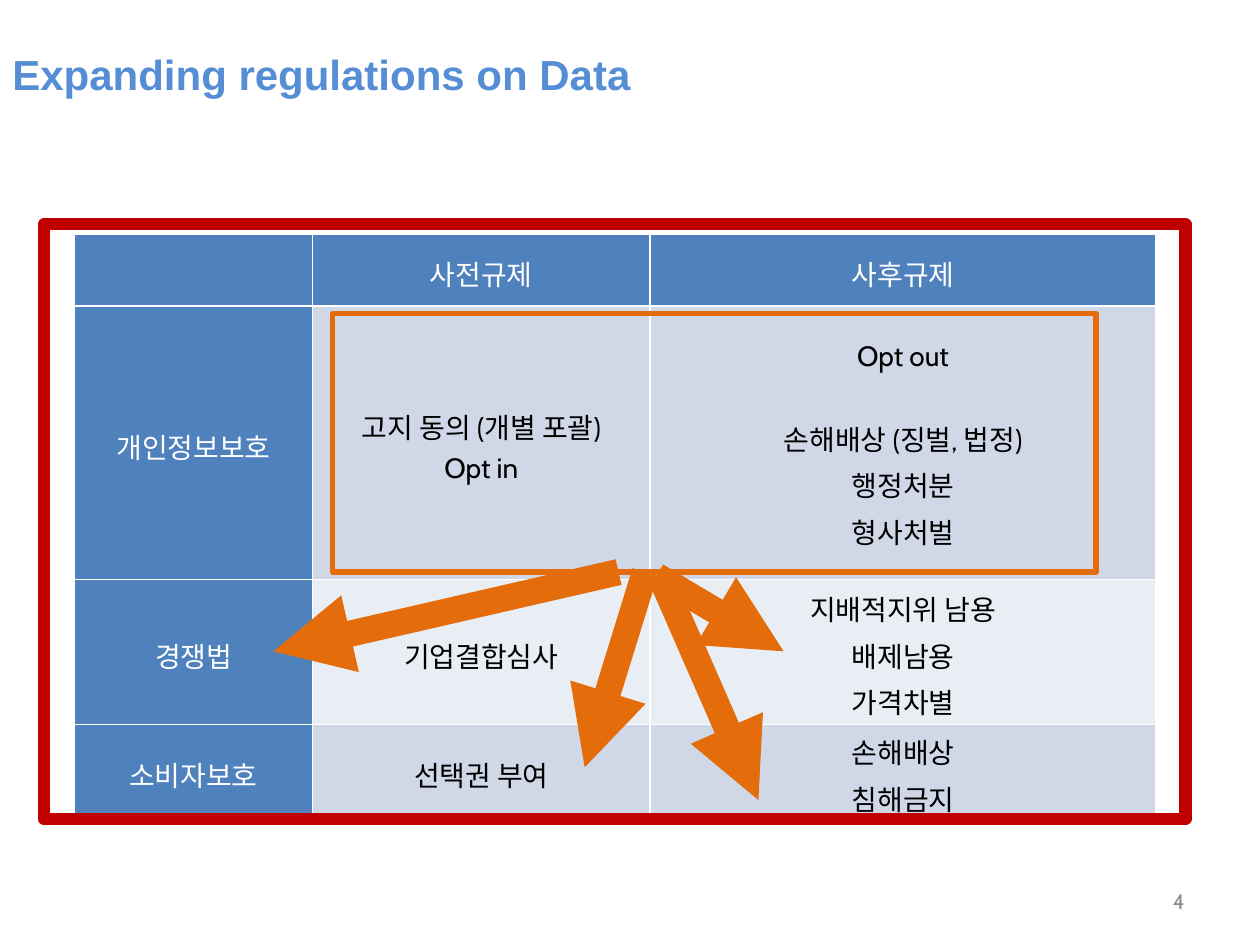
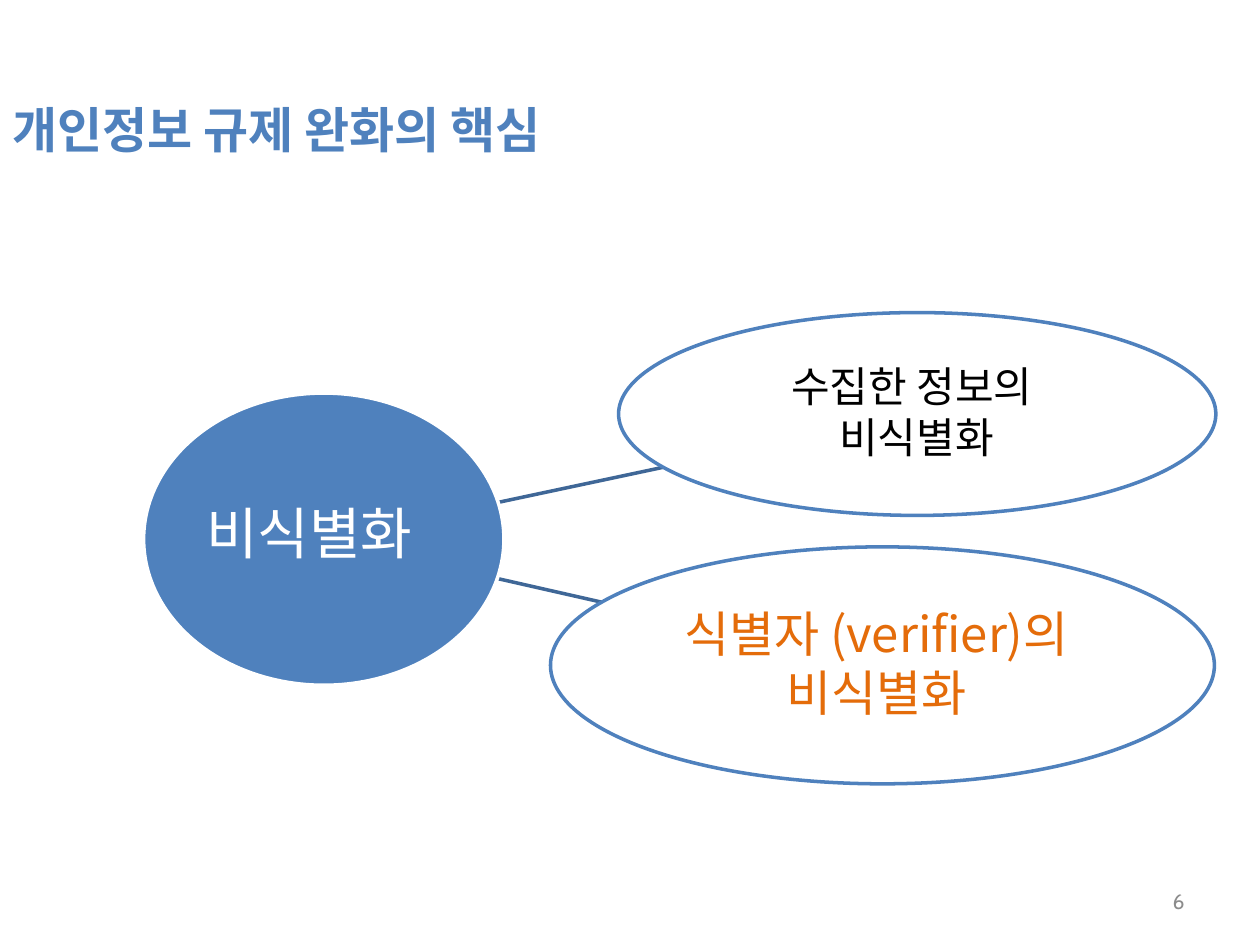
from dataclasses import dataclass
from lxml.etree import SubElement
from pptx import Presentation
from pptx.dml.color import RGBColor as Rgb
from pptx.enum.shapes import MSO_CONNECTOR as Link, MSO_SHAPE as Form
from pptx.enum.text import MSO_ANCHOR as Anchor, PP_ALIGN as Align
from pptx.oxml import parse_xml
from pptx.oxml.ns import nsdecls, qn
from pptx.util import Pt


@dataclass(frozen=True)
class Theme:
    blue: str = "4F81BD"
    sky: str = "558ED5"
    navy: str = "3F6797"
    orange: str = "E46C0A"
    red: str = "C00000"
    pale: str = "D0D8E8"
    mist: str = "E9EDF4"
    gray: str = "8C8C8C"
    black: str = "000000"
    white: str = "FFFFFF"
    latin: str = "Arial"
    body: str = "Cabin"
    hangul: str = "Noto Sans CJK KR"
    note: int = 12
    cell: int = 16
    text: int = 24
    large: int = 28
    huge: int = 32


class Deck:
    """Holds the theme and the current slide, and draws each kind of element."""

    def __init__(self, theme):
        self.theme = theme
        self.file = Presentation()
        self.file.slide_width, self.file.slide_height = Pt(720), Pt(540)

    def start(self, number):
        self.slide = self.file.slides.add_slide(self.file.slide_layouts[6])
        self.shapes = self.slide.shapes
        self.text((516, 500.4, 168, 28.8), str(number), self.theme.note, self.theme.gray,
                  self.theme.body, align=Align.RIGHT, anchor=Anchor.MIDDLE)

    def style(self, frame, words, size, color, face, align=Align.LEFT, bold=False,
              lead=1.0, after=0):
        frame.text = words
        for para in frame.paragraphs:
            para.alignment, para.line_spacing = align, lead
            para.space_after = Pt(after)
            for run in para.runs:
                font = run.font
                font.size, font.bold, font.name = Pt(size), bold, face
                font.color.rgb = Rgb.from_string(color)
                SubElement(font._element, qn("a:ea"), typeface=self.theme.hangul)

    def text(self, box, words, size, color, face, anchor=Anchor.TOP, inset=None, **look):
        frame = self.shapes.add_textbox(*map(Pt, box)).text_frame
        frame.word_wrap, frame.vertical_anchor = True, anchor
        if inset is not None:
            frame.margin_left = frame.margin_right = Pt(inset)
            frame.margin_top = frame.margin_bottom = Pt(inset)
        self.style(frame, words, size, color, face, **look)

    def title(self, box, words, size, color, face, **look):
        self.text(box, words, size, color, face, bold=True, **look)

    def shape(self, form, box, line, width, fill=None):
        shape = self.shapes.add_shape(form, *map(Pt, box))
        shape.shadow.inherit = False
        shape.line.color.rgb, shape.line.width = Rgb.from_string(line), Pt(width)
        if fill:
            shape.fill.solid()
            shape.fill.fore_color.rgb = Rgb.from_string(fill)
        else:
            shape.fill.background()

    def line(self, start, end, color, width, arrow=False):
        link = self.shapes.add_connector(Link.STRAIGHT, *map(Pt, start + end))
        link.line.color.rgb, link.line.width = Rgb.from_string(color), Pt(width)
        if arrow:
            SubElement(link.line._get_or_add_ln(), qn("a:tailEnd"), type="triangle")
        SubElement(link._element.spPr, qn("a:effectLst"))

    def bubble(self, oval, box, words, size, color):
        self.shape(Form.OVAL, oval, self.theme.blue, 2)
        self.text(box, words, size, color, self.theme.hangul, anchor=Anchor.MIDDLE,
                  inset=1.4, align=Align.CENTER, lead=0.9, after=size / 8)

    def cell(self, cell, words, fill, color):
        cell.fill.solid()
        cell.fill.fore_color.rgb = Rgb.from_string(fill)
        cell.vertical_anchor = Anchor.MIDDLE
        cell.margin_left = cell.margin_right = Pt(5)
        cell.margin_top = cell.margin_bottom = 0
        self.style(cell.text_frame, words, self.theme.cell, color, self.theme.body,
                   align=Align.CENTER, lead=1.15)
        for spot, side in enumerate("LRTB"):
            cell._tc.tcPr.insert(spot, parse_xml(
                f'<a:ln{side} {nsdecls("a")} w="{Pt(1)}"><a:solidFill>'
                f'<a:srgbClr val="{self.theme.white}"/></a:solidFill></a:ln{side}>'))

    def table(self, spot, wide, high, rows):
        size = sum(wide), sum(high)
        table = self.shapes.add_table(len(high), len(wide), *map(Pt, spot + size)).table
        table.horz_banding = False
        for col, width in zip(table.columns, wide):
            col.width = Pt(width)
        for row, height in zip(table.rows, high):
            row.height = Pt(height)
        theme = self.theme
        for y, row in enumerate(rows):
            for x, words in enumerate(row):
                head = x == 0 or y == 0
                fill = theme.blue if head else theme.pale if y % 2 else theme.mist
                self.cell(table.cell(y, x), words, fill, theme.white if head else theme.black)
        return table


RULES = [
    ("", "사전규제", "사후규제"),
    ("개인정보보호", "고지 동의 (개별 포괄)\nOpt in",
     "Opt out\n손해배상 (징벌, 법정)\n행정처분\n형사처벌"),
    ("경쟁법", "기업결합심사", "지배적지위 남용\n배제남용\n가격차별"),
    ("소비자보호", "선택권 부여", "손해배상\n침해금지"),
]
ARROWS = [
    ((368.6, 326.9), (334.1, 438.5)),
    ((353.5, 326.9), (156.2, 372.2)),
    ((377.3, 329), (433.4, 457.2)),
    ((375.1, 329), (447.8, 372.2)),
]
SPOKES = [
    ((236.2, 319.7), (344.2, 344.2)),
    ((236.2, 297.4), (378.7, 267.1)),
]


def rules(deck):
    theme = deck.theme
    deck.start(4)
    deck.title((0, 17.3, 648, 49.7), "Expanding regulations on Data", theme.text,
               theme.sky, theme.latin, anchor=Anchor.MIDDLE)
    table = deck.table((42.6, 134), (136, 193, 289), (41, 156.2, 82.8, 54), RULES)
    table.cell(1, 2).text_frame.paragraphs[1].space_before = Pt(22)
    deck.shape(Form.RECTANGLE, (190, 179.3, 436.3, 147.6), theme.orange, 3)
    deck.shape(Form.RECTANGLE, (25.2, 128.2, 652.3, 339.8), theme.red, 7)
    for start, end in ARROWS:
        deck.line(start, end, theme.orange, 15, arrow=True)


def masking(deck):
    theme = deck.theme
    deck.start(6)
    deck.title((0, 36.7, 635, 51.8), "개인정보 규제 완화의 핵심", theme.large,
               theme.blue, theme.hangul, lead=1.5)
    for start, end in SPOKES:
        deck.line(start, end, theme.navy, 2)
    deck.shape(Form.OVAL, (82.1, 224.6, 205.9, 167), theme.white, 2, theme.blue)
    deck.bubble((353.5, 178.6, 341.3, 115.9), (403.2, 195.8, 241.2, 82.1),
                "수집한 정보의 \n비식별화", theme.text, theme.black)
    deck.bubble((314.6, 312.5, 379.4, 135.4), (370, 332.6, 267.8, 95.8),
                "식별자 (verifier)의 \n비식별화 ", theme.large, theme.orange)
    deck.text((110.9, 281.5, 153.4, 46.1), "비식별화", theme.huge, theme.white, theme.hangul)


def main():
    deck = Deck(Theme())
    rules(deck)
    masking(deck)
    deck.file.save("out.pptx")


if __name__ == "__main__":
    main()
